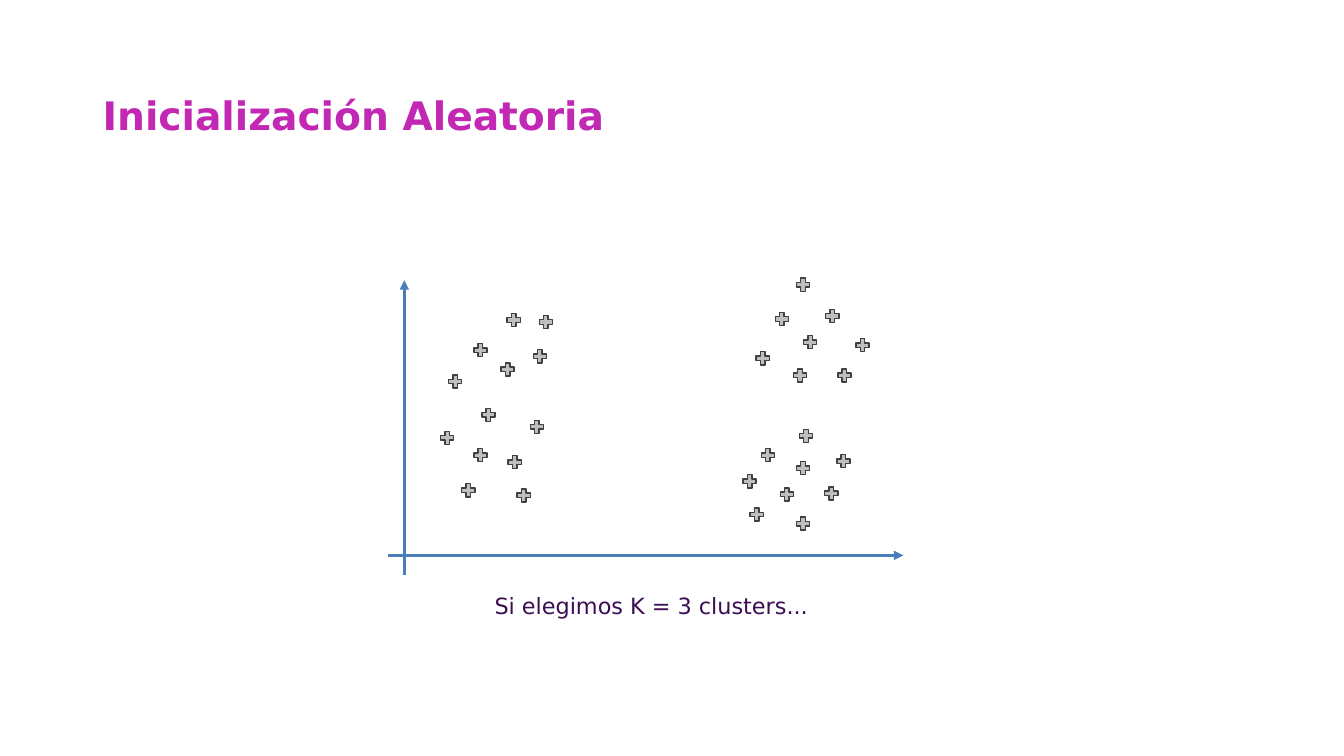
from dataclasses import dataclass
from typing import NamedTuple

from lxml import etree
from pptx import Presentation
from pptx.dml.color import RGBColor
from pptx.enum.shapes import MSO_CONNECTOR, MSO_SHAPE
from pptx.enum.text import MSO_ANCHOR, MSO_AUTO_SIZE, PP_ALIGN
from pptx.oxml.ns import qn
from pptx.slide import Slide
from pptx.util import Inches, Pt

CROSS = MSO_SHAPE.CROSS
STRAIGHT = MSO_CONNECTOR.STRAIGHT
TOP, MIDDLE = MSO_ANCHOR.TOP, MSO_ANCHOR.MIDDLE
LEFT, CENTER = PP_ALIGN.LEFT, PP_ALIGN.CENTER
NO_FIT, GROW = MSO_AUTO_SIZE.NONE, MSO_AUTO_SIZE.SHAPE_TO_FIT_TEXT


@dataclass(frozen=True)
class Theme:
    font: str = "DejaVu Sans"
    title_color: RGBColor = RGBColor(0xC2, 0x28, 0xB4)
    caption_color: RGBColor = RGBColor(0x3C, 0x0F, 0x53)
    axis_color: RGBColor = RGBColor(0x4A, 0x7E, 0xBB)
    point_fill: RGBColor = RGBColor(0xBF, 0xBF, 0xBF)
    point_line: RGBColor = RGBColor(0x40, 0x40, 0x40)
    title_size: float = 28
    caption_size: float = 16
    axis_width: float = 2.25
    point_width: float = 1


THEME = Theme()
POINT_SIZE = 0.13
POINT_ARM_INSET = 0.33


class Point(NamedTuple):
    left: float
    top: float


class Axis(NamedTuple):
    start: Point
    end: Point


class Label(NamedTuple):
    text: str
    left: float
    top: float
    width: float
    height: float
    font: dict
    frame: dict
    paragraph: dict


AXES = [
    Axis(Point(4.01, 5.7), Point(4.01, 2.78)),
    Axis(Point(3.85, 5.51), Point(8.96, 5.51)),
]

CLUSTERS = {
    "lower left": [
        Point(5.26, 4.17), Point(4.7, 4.45), Point(5.13, 4.85),
        Point(4.58, 4.8), Point(4.37, 4.28), Point(4.78, 4.05),
        Point(5.04, 4.52),
    ],
    "upper left": [
        Point(4.45, 3.72), Point(4.97, 3.6), Point(4.7, 3.41),
        Point(5.29, 3.47), Point(5.35, 3.13), Point(5.03, 3.11),
    ],
    "upper right": [
        Point(7.9, 2.76), Point(8.19, 3.07), Point(7.69, 3.1),
        Point(7.97, 3.33), Point(8.49, 3.36), Point(7.87, 3.66),
        Point(8.31, 3.66), Point(7.5, 3.49),
    ],
    "lower right": [
        Point(7.37, 4.71), Point(7.55, 4.45), Point(7.74, 4.84),
        Point(7.44, 5.04), Point(7.9, 5.13), Point(8.18, 4.83),
        Point(7.9, 4.58), Point(8.3, 4.51), Point(7.93, 4.26),
    ],
}

CAPTION_INSETS = {
    f"margin_{side}": Inches(0.05) for side in ("left", "top", "right", "bottom")
}

LABELS = [
    Label(
        "Inicialización Aleatoria", 0.92, 0.71, 11.5, 0.91,
        {"size": Pt(THEME.title_size), "bold": True, "color": THEME.title_color},
        {"vertical_anchor": MIDDLE, "auto_size": NO_FIT},
        {"alignment": LEFT, "line_spacing": 0.9},
    ),
    Label(
        "Si elegimos K = 3 clusters...", 4.37, 5.83, 4.18, 0.37,
        {"size": Pt(THEME.caption_size), "bold": False, "color": THEME.caption_color},
        {"vertical_anchor": TOP, "auto_size": GROW, **CAPTION_INSETS},
        {"alignment": CENTER},
    ),
]


def apply_format(target: object, values: dict) -> None:
    for name, value in values.items():
        if name == "color":
            target.color.rgb = value
        else:
            setattr(target, name, value)


def add_label(page: Slide, label: Label) -> None:
    box = page.shapes.add_textbox(
        Inches(label.left), Inches(label.top),
        Inches(label.width), Inches(label.height),
    )
    frame = box.text_frame
    apply_format(frame, {"word_wrap": True, **label.frame})
    para = frame.paragraphs[0]
    apply_format(para, label.paragraph)
    span = para.add_run()
    span.text = label.text
    apply_format(span.font, {"name": THEME.font, **label.font})


def add_axis(page: Slide, axis: Axis) -> None:
    arrow = page.shapes.add_connector(
        STRAIGHT,
        Inches(axis.start.left), Inches(axis.start.top),
        Inches(axis.end.left), Inches(axis.end.top),
    )
    apply_format(arrow.line, {"color": THEME.axis_color, "width": Pt(THEME.axis_width)})
    properties = arrow.line._get_or_add_ln()
    etree.SubElement(properties, qn("a:tailEnd"), type="triangle")
    etree.SubElement(properties.getparent(), qn("a:effectLst"))


def add_point(page: Slide, point: Point) -> None:
    cross = page.shapes.add_shape(
        CROSS, Inches(point.left), Inches(point.top),
        Inches(POINT_SIZE), Inches(POINT_SIZE),
    )
    cross.adjustments[0] = POINT_ARM_INSET
    cross.shadow.inherit = False
    cross.fill.solid()
    cross.fill.fore_color.rgb = THEME.point_fill
    apply_format(cross.line, {"color": THEME.point_line, "width": Pt(THEME.point_width)})


def main() -> None:
    deck = Presentation()
    apply_format(deck, {"slide_width": Inches(13.33), "slide_height": Inches(7.5)})
    page = deck.slides.add_slide(deck.slide_layouts[6])
    for axis in AXES:
        add_axis(page, axis)
    for cluster in CLUSTERS.values():
        for point in cluster:
            add_point(page, point)
    for label in LABELS:
        add_label(page, label)
    deck.save("out.pptx")


if __name__ == "__main__":
    main()
